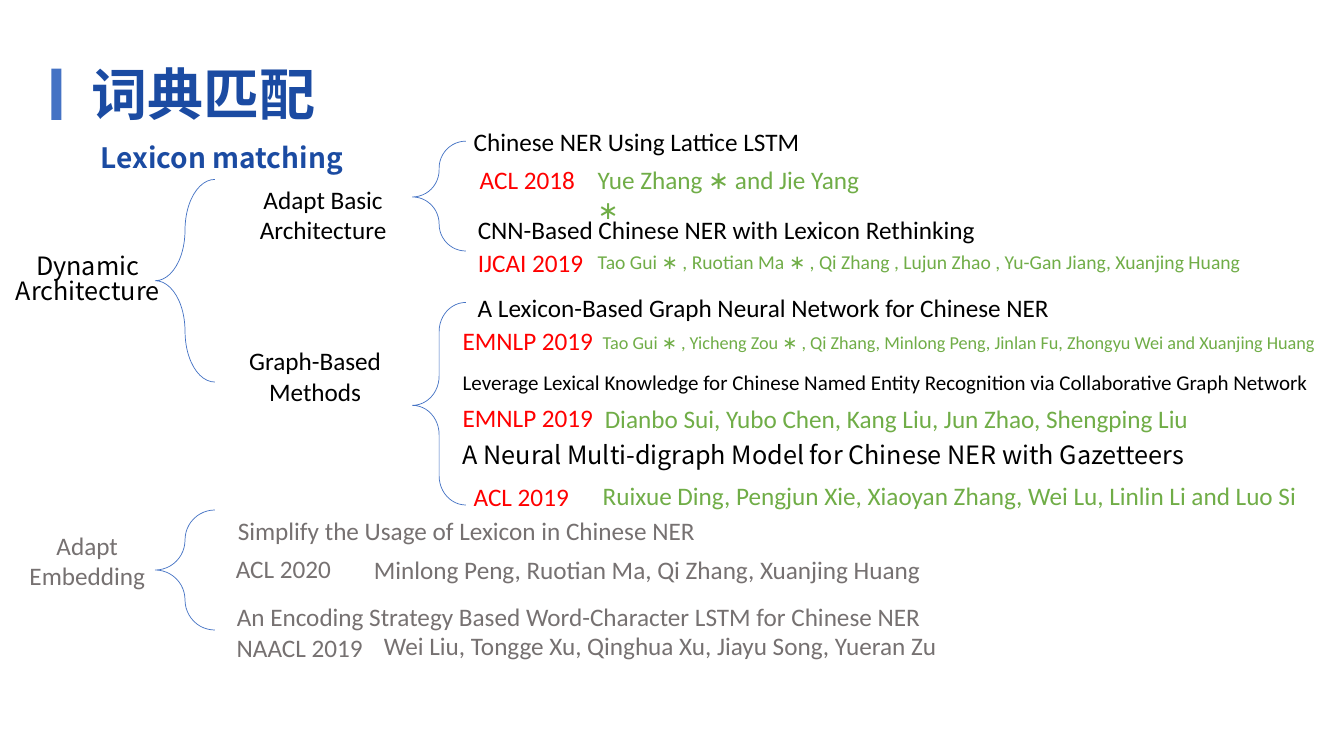
"""Build the lexicon matching overview slide."""
from dataclasses import dataclass

from lxml import etree
from pptx import Presentation
from pptx.dml.color import RGBColor
from pptx.enum.shapes import MSO_SHAPE
from pptx.enum.text import MSO_ANCHOR, MSO_AUTO_SIZE, PP_ALIGN
from pptx.oxml.ns import qn
from pptx.util import Emu, Pt

PX = 9144
LEFT, CENTER = PP_ALIGN.LEFT, PP_ALIGN.CENTER
TOP, BOTTOM = MSO_ANCHOR.TOP, MSO_ANCHOR.BOTTOM
NO_FIT, GROW = MSO_AUTO_SIZE.NONE, MSO_AUTO_SIZE.SHAPE_TO_FIT_TEXT
RECTANGLE = MSO_SHAPE.RECTANGLE
LEFT_BRACE, RIGHT_BRACE = MSO_SHAPE.LEFT_BRACE, MSO_SHAPE.RIGHT_BRACE
LATIN, CJK = "Calibri", "Noto Sans CJK SC"
BLACK, RED, GREEN, GRAY = "000000", "FF0000", "70AD47", "767171"
NAVY, BLUE = "1B4BA2", "4472C4"


@dataclass(frozen=True)
class Label:
    """A text box with one style; each line is a paragraph."""
    text: str
    left: int
    top: int
    width: int
    height: int = 40
    color: str = BLACK
    size: int = 18
    font: str = LATIN
    align: PP_ALIGN = LEFT
    wrap: bool = True
    bold: bool = False
    anchor: MSO_ANCHOR = TOP
    spacing: float = 1.0
    fit: MSO_AUTO_SIZE = GROW


@dataclass(frozen=True)
class Brace:
    """A brace opening to the right."""
    kind: MSO_SHAPE
    left: int
    top: int
    width: int
    height: int
    curve: float
    tip: float
    rotation: int = 0


def heading(text: str, left: int, top: int, size: int) -> Label:
    """Describe a bold heading that sits on the bottom of its box."""
    return Label(text, left, top, 1000, 92, NAVY, size, CJK, bold=True,
                 anchor=BOTTOM, spacing=0.9, fit=NO_FIT)


HEADINGS = [heading("词典匹配", 81, 40, 40), heading("Lexicon matching", 90, 86, 20)]

BRANCHES = [
    Label("Dynamic\nArchitecture", -5, 249, 184, 71, font=CJK, align=CENTER, spacing=0.82),
    Label("Adapt Basic\nArchitecture", 232, 178, 177, 71, align=CENTER),
    Label("Graph-Based\nMethods", 232, 338, 161, 71, align=CENTER),
    Label("Adapt\nEmbedding", 19, 521, 135, 71, GRAY, align=CENTER),
]

PAPERS = [
    Label("Chinese NER Using Lattice LSTM", 460, 120, 348, wrap=False),
    Label("CNN-Based Chinese NER with Lexicon Rethinking", 464, 208, 519, wrap=False),
    Label("A Lexicon-Based Graph Neural Network for Chinese NER", 464, 285, 594, wrap=False),
    Label("Leverage Lexical Knowledge for Chinese Named Entity Recognition"
          " via Collaborative Graph Network", 449, 362, 931, 35, size=15),
    Label("A Neural Multi-digraph Model for Chinese NER with Gazetteers",
          449, 436, 797, font=CJK, spacing=0.82),
    Label("Simplify the Usage of Lexicon in Chinese NER", 226, 506, 479, color=GRAY, wrap=False),
    Label("An Encoding Strategy Based Word-Character LSTM for Chinese NER",
          225, 592, 709, color=GRAY),
]

VENUES = [
    Label("ACL 2018", 466, 158, 153, color=RED),
    Label("IJCAI 2019", 464, 240, 155, color=RED),
    Label("EMNLP 2019", 449, 318, 196, color=RED),
    Label("EMNLP 2019", 449, 394, 196, color=RED),
    Label("ACL 2019", 460, 473, 116, color=RED, wrap=False),
    Label("ACL 2020", 224, 544, 162, color=GRAY),
    Label("NAACL 2019", 225, 622, 147, color=GRAY, wrap=False),
]

AUTHORS = [
    Label("Yue Zhang ∗ and Jie Yang ∗", 583, 158, 292, color=GREEN, fit=NO_FIT),
    Label("Tao Gui ∗ , Ruotian Ma ∗ , Qi Zhang , Lujun Zhao , Yu-Gan Jiang, Xuanjing Huang",
          583, 243, 742, 34, GREEN, 14),
    Label("Tao Gui ∗ , Yicheng Zou ∗ , Qi Zhang, Minlong Peng, Jinlan Fu,"
          " Zhongyu Wei and Xuanjing Huang", 588, 324, 773, 32, GREEN, 13),
    Label("Dianbo Sui, Yubo Chen, Kang Liu, Jun Zhao, Shengping Liu", 590, 395, 667, color=GREEN),
    Label("Ruixue Ding, Pengjun Xie, Xiaoyan Zhang, Wei Lu, Linlin Li and Luo Si",
          588, 472, 734, color=GREEN),
    Label("Minlong Peng, Ruotian Ma, Qi Zhang, Xuanjing Huang", 361, 545, 572, color=GRAY),
    Label("Wei Liu, Tongge Xu, Qinghua Xu, Jiayu Song, Yueran Zu",
          371, 620, 576, color=GRAY, wrap=False),
]

BRACES = [
    Brace(RIGHT_BRACE, 409, 140, 53, 109, 0.511, 0.492, 180),
    Brace(RIGHT_BRACE, 409, 300, 53, 201, 0.547, 0.492, 180),
    Brace(LEFT_BRACE, 154, 178, 59, 201, 1.196, 0.5),
    Brace(LEFT_BRACE, 154, 506, 59, 119, 1.196, 0.5),
]


def px(length: int) -> Emu:
    """Turn px into EMU."""
    return Emu(length * PX)


def rgb(color: str) -> RGBColor:
    """Turn a hex string into a colour."""
    return RGBColor.from_string(color)


def add_label(page, label: Label) -> None:
    """Draw a label as a text box."""
    box = page.shapes.add_textbox(px(label.left), px(label.top), px(label.width), px(label.height))
    frame = box.text_frame
    frame.text = label.text
    frame.word_wrap = label.wrap
    frame.auto_size = label.fit
    frame.vertical_anchor = label.anchor
    for para in frame.paragraphs:
        para.alignment = label.align
        para.line_spacing = label.spacing
        font = para.font
        font.name, font.size, font.bold = label.font, Pt(label.size), label.bold
        font.color.rgb = rgb(label.color)
        defaults = para._p.pPr.find(qn("a:defRPr"))
        etree.SubElement(defaults, qn("a:ea"), typeface=label.font)


def add_brace(page, brace: Brace) -> None:
    """Draw a thin unfilled brace."""
    shape = page.shapes.add_shape(
        brace.kind, px(brace.left), px(brace.top), px(brace.width), px(brace.height))
    shape.shadow.inherit = False
    shape.rotation = brace.rotation
    shape.adjustments[0], shape.adjustments[1] = brace.curve, brace.tip
    shape.fill.background()
    shape.line.color.rgb = rgb(BLUE)
    shape.line.width = Pt(0.5)


def add_title_bar(page) -> None:
    """Draw the bar beside the heading."""
    bar = page.shapes.add_shape(RECTANGLE, px(51), px(68), px(10), px(51))
    bar.shadow.inherit = False
    bar.fill.solid()
    bar.fill.fore_color.rgb = rgb(BLUE)
    bar.line.fill.background()


def main() -> None:
    """Build and save the deck."""
    deck = Presentation()
    deck.slide_width, deck.slide_height = px(1333), px(750)
    page = deck.slides.add_slide(deck.slide_layouts[6])
    add_title_bar(page)
    for brace in BRACES:
        add_brace(page, brace)
    for label in HEADINGS + BRANCHES + PAPERS + VENUES + AUTHORS:
        add_label(page, label)
    deck.save("out.pptx")


if __name__ == "__main__":
    main()
